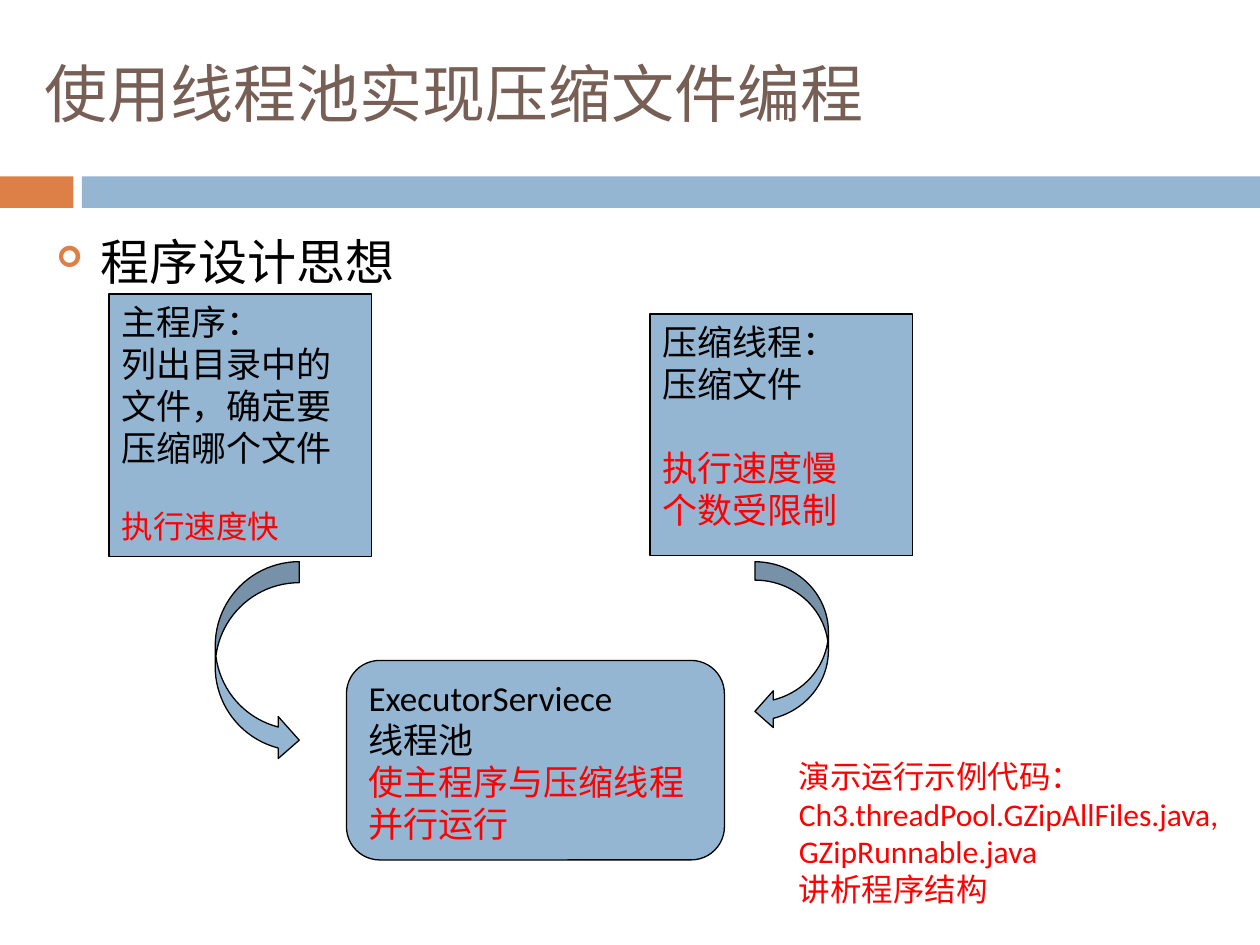
"""Build the slide on compressing files with a thread pool."""
from dataclasses import dataclass

from lxml import etree
from pptx import Presentation
from pptx import util as u
from pptx.dml.color import RGBColor
from pptx.enum import shapes, text
from pptx.oxml.ns import qn

COLUMN = ROW = u.Inches(10) // 120
BLUE, ORANGE, BROWN, BLACK, RED = "94B6D2", "DD8047", "775F55", "000000", "FF0000"
KIND = shapes.MSO_SHAPE


@dataclass
class Line:
    """One paragraph of text with its format."""
    content: str
    size: float = 20
    color: str = BLACK
    before: float = 0


@dataclass
class Block:
    """A preset shape placed by column, row, columns wide and rows high."""
    kind: KIND
    place: tuple[float, float, float, float]
    lines: tuple[Line, ...] = ()
    fill: str = BLUE
    border: str | None = BLACK


BLOCKS = (
    Block(KIND.RECTANGLE, (0, 16.8, 7, 3), fill=ORANGE, border=None),
    Block(KIND.RECTANGLE, (7.8, 16.8, 112.2, 3), border=None),
    Block(KIND.RECTANGLE, (10.4, 28, 25, 25), (
        Line("主程序："),
        Line("列出目录中的文件，确定要压缩哪个文件"),
        Line("执行速度快", 18, RED, before=22))),
    Block(KIND.RECTANGLE, (61.9, 29.9, 25, 23), (
        Line("压缩线程："),
        Line("压缩文件"),
        Line("执行速度慢", color=RED, before=24),
        Line("个数受限制", color=RED))),
    Block(KIND.FLOWCHART_ALTERNATE_PROCESS, (33, 62.9, 36, 19), (
        Line("ExecutorServiece"),
        Line("线程池"),
        Line("使主程序与压缩线程并行运行", color=RED))),
    Block(KIND.CURVED_RIGHT_ARROW, (20.5, 53.5, 8, 19)),
    Block(KIND.CURVED_LEFT_ARROW, (71.9, 53.5, 7, 16)),
)
NOTE = (
    Line("演示运行示例代码：", 18, RED),
    Line("Ch3.threadPool.GZipAllFiles.java, GZipRunnable.java", 18, RED),
    Line("讲析程序结构", 18, RED),
)


def rgb(color: str) -> RGBColor:
    """Turn a hex string into a colour."""
    return RGBColor.from_string(color)


def apply(target, values: dict) -> None:
    """Set each attribute of the target from the format values."""
    for name, value in values.items():
        setattr(target, name, value)


def span(place: tuple) -> dict:
    """Turn grid units into left, top, width and height."""
    column, row, wide, high = place
    return {"left": round(column * COLUMN), "top": round(row * ROW),
            "width": round(wide * COLUMN), "height": round(high * ROW)}


def add_bullet(paragraph) -> None:
    """Give a paragraph a small orange arrow bullet on a hanging indent."""
    properties = paragraph._p.get_or_add_pPr()
    properties.set("marL", str(u.Inches(0.35)))
    properties.set("indent", str(-u.Inches(0.35)))
    color = etree.SubElement(properties, qn("a:buClr"))
    etree.SubElement(color, qn("a:srgbClr"), val=ORANGE)
    etree.SubElement(properties, qn("a:buSzPct"), val="60000")
    etree.SubElement(properties, qn("a:buFont"), typeface="Wingdings")
    etree.SubElement(properties, qn("a:buChar"), char="➢")


def write(shape, lines: tuple[Line, ...], anchor=text.MSO_ANCHOR.TOP, bullet: bool = False) -> None:
    """Fill a shape with left-aligned paragraphs."""
    frame = shape.text_frame
    frame.text = "\n".join(line.content for line in lines)
    apply(frame, {"word_wrap": True, "auto_size": text.MSO_AUTO_SIZE.NONE,
                  "vertical_anchor": anchor})
    for paragraph, line in zip(frame.paragraphs, lines):
        apply(paragraph, {"alignment": text.PP_ALIGN.LEFT, "space_before": u.Pt(line.before)})
        if bullet:
            add_bullet(paragraph)
        for run in paragraph.runs:
            apply(run.font, {"name": "Calibri", "size": u.Pt(line.size)})
            run.font.color.rgb = rgb(line.color)


def draw(slide, block: Block) -> None:
    """Draw one block with its fill, border and text."""
    shape = slide.shapes.add_shape(block.kind, **span(block.place))
    shape.shadow.inherit = False
    shape.fill.solid()
    shape.fill.fore_color.rgb = rgb(block.fill)
    if block.border:
        shape.line.color.rgb = rgb(block.border)
        shape.line.width = u.Pt(0.75)
    else:
        shape.line.fill.background()
    if block.lines:
        write(shape, block.lines)


def main() -> None:
    """Build and save the presentation."""
    presentation = Presentation()
    apply(presentation, {"slide_width": 120 * COLUMN, "slide_height": 90 * ROW})
    slide = presentation.slides.add_slide(presentation.slide_layouts[1])

    title, body = slide.shapes.title, slide.placeholders[1]
    apply(title, span((3, 6, 108, 5.6)))
    write(title, (Line("使用线程池实现压缩文件编程", 36, BROWN),), text.MSO_ANCHOR.MIDDLE)
    apply(body, span((4.2, 21.4, 108, 51)))
    write(body, (Line("程序设计思想", 28),), bullet=True)

    for block in BLOCKS:
        draw(slide, block)
    write(slide.shapes.add_textbox(**span((74.9, 71.5, 42.4, 19.4))), NOTE)
    presentation.save("out.pptx")


if __name__ == "__main__":
    main()
